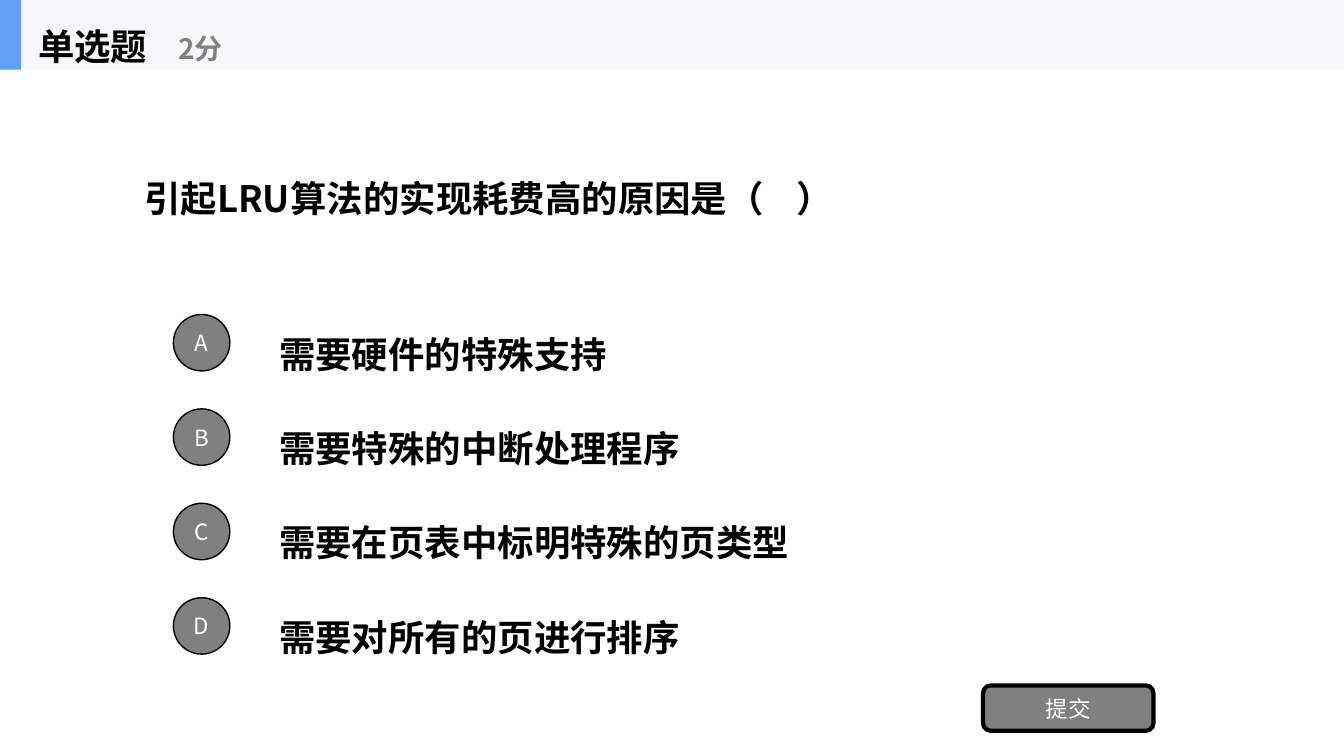
"""Build a single-choice quiz slide with four lettered options and a submit button."""
from lxml import etree
from pptx import Presentation
from pptx.dml.color import RGBColor
from pptx.enum.shapes import MSO_SHAPE
from pptx.enum.text import MSO_ANCHOR, MSO_AUTO_SIZE, PP_ALIGN
from pptx.oxml.ns import qn
from pptx.util import Inches, Pt

OVAL, RECT, ROUNDED = MSO_SHAPE.OVAL, MSO_SHAPE.RECTANGLE, MSO_SHAPE.ROUNDED_RECTANGLE
LEFT, CENTER = PP_ALIGN.LEFT, PP_ALIGN.CENTER
MIDDLE, NO_AUTOSIZE = MSO_ANCHOR.MIDDLE, MSO_AUTO_SIZE.NONE

QUESTION = "引起LRU算法的实现耗费高的原因是（    ）"
OPTIONS = {
    "A": "需要硬件的特殊支持",
    "B": "需要特殊的中断处理程序",
    "C": "需要在页表中标明特殊的页类型",
    "D": "需要对所有的页进行排序",
}
QUESTION_TYPE, SCORE, SUBMIT = "单选题", "2分", "提交"

FONT = "Noto Sans CJK SC"
BLACK, WHITE, GRAY, BAND, ACCENT = "000000", "FFFFFF", "808080", "F6F7F8", "639EF4"
SLIDE_WIDTH, HEADER_HEIGHT = 13.33, 0.69
FIRST_OPTION_TOP, LAST_OPTION_TOP, OPTION_HEIGHT = 3.05, 5.86, 0.7
BADGE_SIZE = 0.56


def rgb(value):
    return RGBColor.from_string(value)


def write(holder, text, size, color, bold, align):
    frame = holder.text_frame
    frame.text = text
    frame.word_wrap = True
    frame.auto_size = NO_AUTOSIZE
    frame.vertical_anchor = MIDDLE
    paragraph = frame.paragraphs[0]
    paragraph.alignment = align
    run = paragraph.runs[0]
    run.font.name = FONT
    run.font.size = Pt(size)
    run.font.bold = bold
    run.font.color.rgb = rgb(color)
    etree.SubElement(run.font._element, qn("a:ea"), typeface=FONT)
    return paragraph


def write_label(holder, text, size=26, color=BLACK):
    paragraph = write(holder, text, size, color, True, LEFT)
    paragraph.line_spacing = 1.5
    properties = paragraph._p.get_or_add_pPr()
    properties.set("marL", str(Inches(0.38)))
    properties.set("indent", str(Inches(-0.38)))


def add_label(shapes, box, text, size=26, color=BLACK):
    write_label(shapes.add_textbox(*map(Inches, box)), text, size, color)


def add_block(shapes, kind, box, fill, line_width=0):
    block = shapes.add_shape(kind, *map(Inches, box))
    block.shadow.inherit = False
    block.fill.solid()
    block.fill.fore_color.rgb = rgb(fill)
    if line_width:
        block.line.color.rgb = rgb(BLACK)
        block.line.width = Pt(line_width)
    else:
        block.line.fill.background()
    return block


def add_button(shapes, kind, box, text, line_width):
    button = add_block(shapes, kind, box, GRAY, line_width)
    write(button, text, 16, WHITE, False, CENTER)


def main():
    deck = Presentation()
    deck.slide_width, deck.slide_height = Inches(SLIDE_WIDTH), Inches(7.5)
    slide = deck.slides.add_slide(deck.slide_layouts[5])
    shapes = slide.shapes

    question = shapes.title
    question.left, question.top = Inches(1.33), Inches(0.69)
    question.width, question.height = Inches(10.67), Inches(2.34)
    write_label(question, QUESTION)

    pitch = (LAST_OPTION_TOP - FIRST_OPTION_TOP) / (len(OPTIONS) - 1)
    for index, (letter, answer) in enumerate(OPTIONS.items()):
        top = FIRST_OPTION_TOP + index * pitch
        badge_top = top + (OPTION_HEIGHT - BADGE_SIZE) / 2
        add_label(shapes, (2.67, top, 9.33, OPTION_HEIGHT), answer)
        add_button(shapes, OVAL, (1.72, badge_top, BADGE_SIZE, BADGE_SIZE), letter, 1)

    add_button(shapes, ROUNDED, (9.75, 6.8, 1.69, 0.45), SUBMIT, 3)

    header = shapes.add_group_shape().shapes
    add_block(header, RECT, (0, 0, SLIDE_WIDTH, HEADER_HEIGHT), BAND)
    add_block(header, RECT, (0, 0, 0.21, HEADER_HEIGHT), ACCENT)
    add_label(header, (0.28, 0, 2.08, HEADER_HEIGHT), QUESTION_TYPE)
    add_label(header, (1.67, 0.12, 2.5, 0.56), SCORE, 20, GRAY)

    deck.save("out.pptx")


if __name__ == "__main__":
    main()
